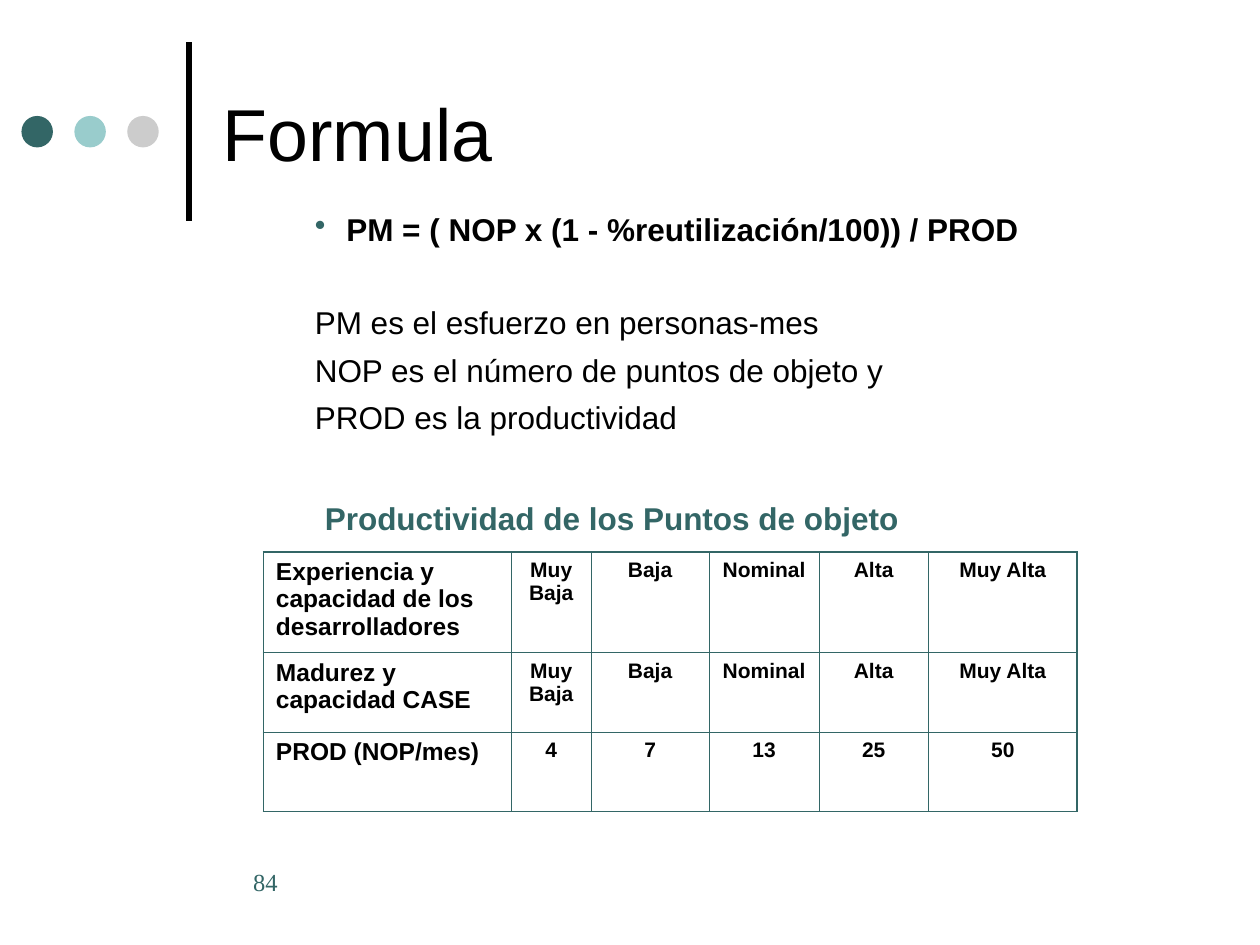
from lxml import etree
from pptx import Presentation
from pptx import util as u
from pptx.dml.color import RGBColor
from pptx.enum import shapes, text
from pptx.oxml.ns import qn

TEAL = "336666"
BLACK = "000000"
ROWS = [
    ["Experiencia y capacidad de los desarrolladores",
     "Muy Baja", "Baja", "Nominal", "Alta", "Muy Alta"],
    ["Madurez y capacidad CASE",
     "Muy Baja", "Baja", "Nominal", "Alta", "Muy Alta"],
    ["PROD (NOP/mes)", "4", "7", "13", "25", "50"],
]
WIDTHS = [1.97, 0.63, 0.94, 0.87, 0.87, 1.18]
HEIGHTS = [0.8, 0.63, 0.63]


def rgb(code):
    return RGBColor.from_string(code)


def inches(box):
    return [u.Inches(v) for v in box]


def write(para, words, size, color=BLACK, bold=False, face="Arial"):
    run = para.add_run()
    run.text = words
    look = {"size": u.Pt(size), "bold": bold, "name": face}
    for key, value in look.items():
        setattr(run.font, key, value)
    run.font.color.rgb = rgb(color)


def add_box(slide, box, anchor=text.MSO_ANCHOR.TOP):
    frame = slide.shapes.add_textbox(*inches(box)).text_frame
    frame.word_wrap = True
    frame.vertical_anchor = anchor
    return frame


def indent(para, left, first=0):
    props = para._p.get_or_add_pPr()
    props.set("marL", str(u.Inches(left)))
    props.set("indent", str(u.Inches(first)))
    return props


def add_bullet(props, char, color):
    paint = etree.SubElement(props, qn("a:buClr"))
    etree.SubElement(paint, qn("a:srgbClr"), val=color)
    etree.SubElement(props, qn("a:buChar"), char=char)


def add_rule(slide, x, top, bottom):
    rule = slide.shapes.add_connector(
        shapes.MSO_CONNECTOR.STRAIGHT, *inches([x, bottom, x, top]))
    rule.line.color.rgb = rgb(BLACK)
    rule.line.width = u.Pt(3)
    etree.SubElement(rule._element.spPr, qn("a:effectLst"))


def add_dots(slide, left, top, size, step):
    for i, color in enumerate([TEAL, "99CCCC", "CCCCCC"]):
        dot = slide.shapes.add_shape(
            shapes.MSO_SHAPE.OVAL,
            *inches([left + i * step, top, size, size]))
        dot.shadow.inherit = False
        dot.fill.solid()
        dot.fill.fore_color.rgb = rgb(color)
        dot.line.fill.background()


def add_title(slide, box):
    frame = add_box(slide, box, text.MSO_ANCHOR.MIDDLE)
    write(frame.paragraphs[0], "Formula", 42)


def add_body(slide, box):
    frame = add_box(slide, box)
    para = frame.paragraphs[0]
    add_bullet(indent(para, 1.75, -0.25), "•", TEAL)
    write(para, "PM = ( NOP x (1 - %reutilización/100)) / PROD", 18, bold=True)
    terms = [("PM es el esfuerzo en personas-mes", 31.5),
             ("NOP es el número de puntos de objeto y", 5.5),
             ("PROD es la productividad", 5.5)]
    for words, gap in terms:
        para = frame.add_paragraph()
        indent(para, 1.75, -0.25)
        para.space_before = u.Pt(gap)
        write(para, words, 18)


def add_caption(slide, box):
    frame = add_box(slide, box)
    write(frame.paragraphs[0], "Productividad de los Puntos de objeto",
          18, TEAL, True)


def add_borders(cell, outer):
    """Draw the four sides, heavier on those named in outer."""
    props = cell._tc.get_or_add_tcPr()
    for side in "LRTB":
        width = u.Pt(1.08 if side in outer else 0.45)
        line = etree.SubElement(props, qn("a:ln" + side), w=str(width))
        fill = etree.SubElement(line, qn("a:solidFill"))
        etree.SubElement(fill, qn("a:srgbClr"), val=TEAL)


def add_grid(slide, left, top):
    box = [left, top, sum(WIDTHS), sum(HEIGHTS)]
    table = slide.shapes.add_table(
        len(ROWS), len(WIDTHS), *inches(box)).table
    table.first_row = table.horz_banding = False
    for col, width in zip(table.columns, WIDTHS):
        col.width = u.Inches(width)
    for row, height in zip(table.rows, HEIGHTS):
        row.height = u.Inches(height)
    for r, words in enumerate(ROWS):
        for c, word in enumerate(words):
            cell = table.cell(r, c)
            edges = {"L": c == 0, "R": c == len(WIDTHS) - 1,
                     "T": r == 0, "B": r == len(ROWS) - 1}
            add_borders(cell, [side for side in edges if edges[side]])
            cell.fill.background()
            para = cell.text_frame.paragraphs[0]
            if c:
                para.alignment = text.PP_ALIGN.CENTER
            write(para, word, 12 if c else 14, bold=True)


def add_number(slide, box):
    para = add_box(slide, box).paragraphs[0]
    indent(para, 0.24)
    write(para, "84", 14, TEAL, face="Times New Roman")


def main():
    deck = Presentation()
    deck.slide_width, deck.slide_height = inches([10, 7.5])
    slide = deck.slides.add_slide(deck.slide_layouts[6])
    add_rule(slide, 1.5, 0.33, 1.75)
    add_dots(slide, 0.17, 0.92, 0.25, 0.42)
    add_title(slide, [1.67, 0.21, 7.67, 1.67])
    add_body(slide, [0.9, 1.62, 7.35, 2.2])
    add_grid(slide, 2.09, 4.38)
    add_caption(slide, [2.48, 3.91, 5.83, 0.4])
    add_number(slide, [1.67, 6.83, 1.42, 0.5])
    deck.save("out.pptx")


if __name__ == "__main__":
    main()
